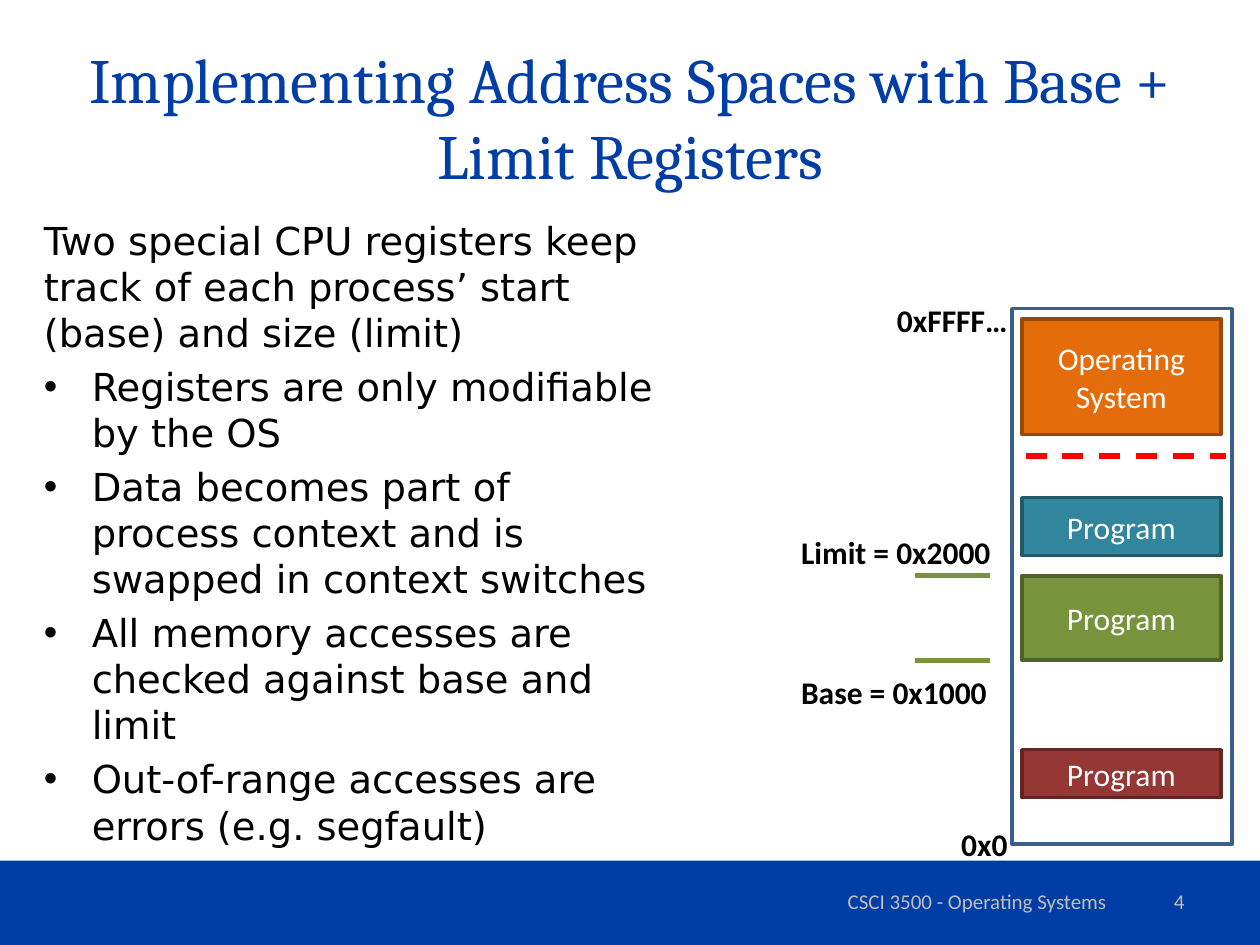
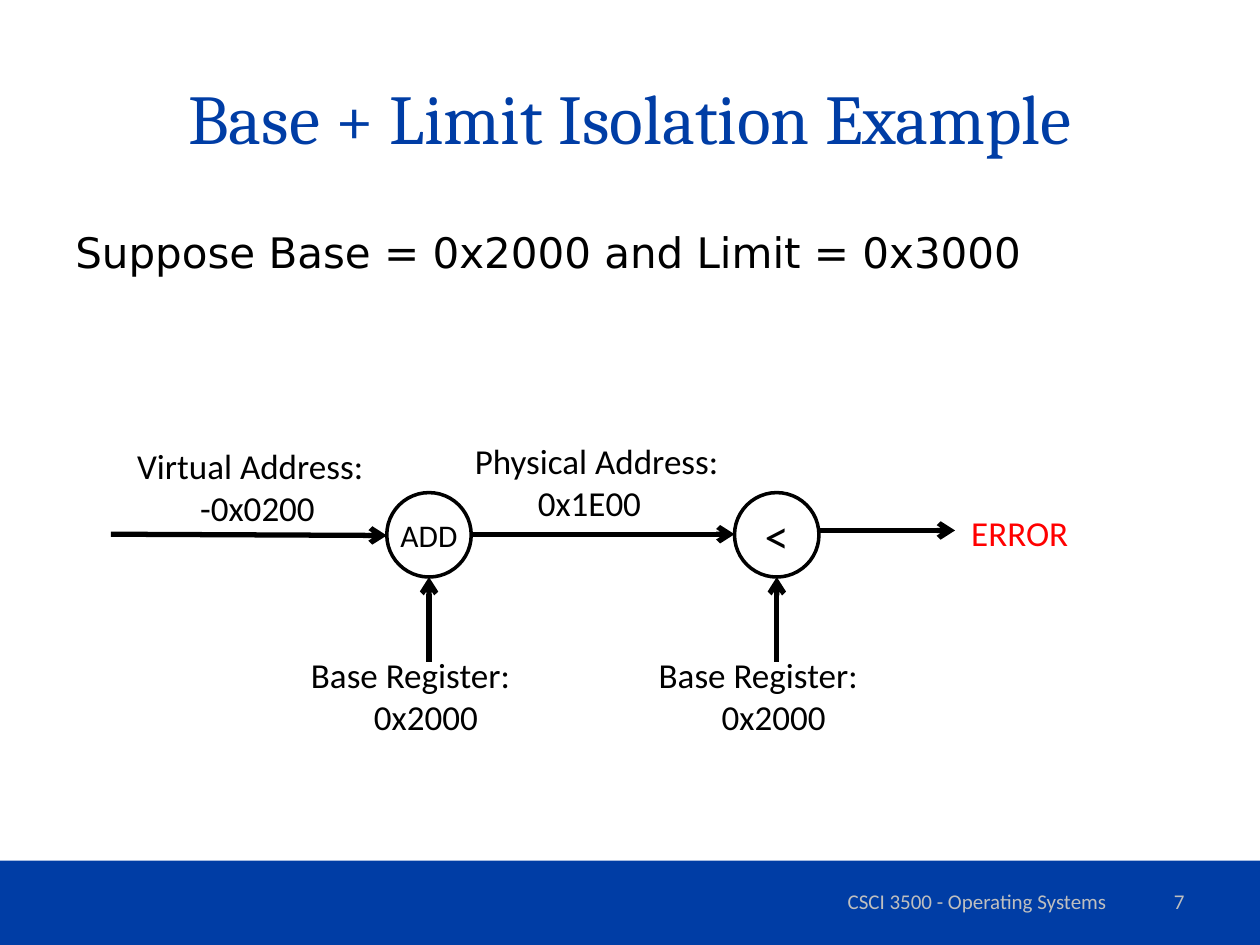
"""Builds two slides on base and limit registers."""
from dataclasses import dataclass

from lxml.etree import SubElement
from pptx import Presentation
from pptx.dml.color import RGBColor
from pptx.enum.dml import MSO_LINE
from pptx.enum.shapes import MSO_CONNECTOR, MSO_SHAPE
from pptx.enum.text import MSO_ANCHOR, MSO_AUTO_SIZE, PP_ALIGN
from pptx.oxml.ns import qn
from pptx.util import Inches, Pt


@dataclass(frozen=True)
class Theme:
    """Colours, fonts and type sizes of the deck."""
    blue: str = "003DA5"
    black: str = "000000"
    white: str = "FFFFFF"
    grey: str = "BFBFBF"
    red: str = "FF0000"
    green: str = "77933C"
    frame: str = "3A5F8C"
    title_font: str = "Cambria"
    body_font: str = "DejaVu Sans"
    label_font: str = "Calibri"
    footer_size: int = 12
    memory_size: int = 18
    diagram_size: int = 20
    symbol_size: int = 28
    outline: int = 2
    stroke: int = 3


THEME = Theme()


def write(frame, text, *, size=THEME.memory_size, color=THEME.black, font=THEME.label_font,
          bold=False, align=PP_ALIGN.LEFT, anchor=MSO_ANCHOR.TOP, wrap=True,
          space_before=0, bullets_from=None):
    """Fill a text frame with one paragraph per line of text."""
    frame.word_wrap = wrap
    frame.vertical_anchor = anchor
    for index, line in enumerate(text.split("\n")):
        paragraph = frame.paragraphs[0] if index == 0 else frame.add_paragraph()
        paragraph.add_run().text = line
        paragraph.alignment = align
        if index:
            paragraph.space_before = Pt(space_before)
        if bullets_from is not None and index >= bullets_from:
            add_bullet(paragraph)
        for span in paragraph.runs:
            span.font.size = Pt(size)
            span.font.name = font
            span.font.bold = bold
            span.font.color.rgb = RGBColor.from_string(color)


def add_bullet(paragraph, indent=0.38):
    """Give a paragraph a round bullet and a hanging indent."""
    properties = paragraph._p.get_or_add_pPr()
    properties.set("marL", str(Inches(indent)))
    properties.set("indent", str(-Inches(indent)))
    SubElement(properties, qn("a:buFont"), typeface="Arial")
    SubElement(properties, qn("a:buChar"), char="•")


def add_text(page, text, left, top, width, height, **style):
    """Add a wrapping text box."""
    box = page.shapes.add_textbox(Inches(left), Inches(top), Inches(width), Inches(height))
    write(box.text_frame, text, **style)
    return box


def add_label(page, text, left, top, width, height=0.4, **style):
    """Add a label that grows with its text."""
    box = add_text(page, text, left, top, width, height, wrap=False, **style)
    box.text_frame.auto_size = MSO_AUTO_SIZE.SHAPE_TO_FIT_TEXT


def add_box(page, left, top, width, height, *, fill=None, line=None, kind=MSO_SHAPE.RECTANGLE):
    """Add a flat preset shape with an optional fill and outline."""
    box = page.shapes.add_shape(kind, Inches(left), Inches(top), Inches(width), Inches(height))
    box.shadow.inherit = False
    if fill:
        box.fill.solid()
        box.fill.fore_color.rgb = RGBColor.from_string(fill)
    else:
        box.fill.background()
    if line:
        box.line.color.rgb = RGBColor.from_string(line)
        box.line.width = Pt(THEME.outline)
    else:
        box.line.fill.background()
    return box


def add_line(page, start, end, *, color=THEME.black, dashed=False, arrow=False):
    """Add a straight line, dashed or with an arrowhead if asked."""
    x1, y1, x2, y2 = (Inches(value) for value in (*start, *end))
    connector = page.shapes.add_connector(MSO_CONNECTOR.STRAIGHT, x1, y1, x2, y2)
    connector.line.color.rgb = RGBColor.from_string(color)
    connector.line.width = Pt(THEME.stroke)
    if dashed:
        connector.line.dash_style = MSO_LINE.DASH
    if arrow:
        SubElement(connector.line._get_or_add_ln(), qn("a:tailEnd"), type="arrow")
    SubElement(connector._element.spPr, qn("a:effectLst"))


def add_memory_block(page, text, top, height, fill, line):
    """Add one occupied region of the memory column."""
    block = add_box(page, 8.11, top, 1.58, height, fill=fill, line=line)
    write(block.text_frame, text, color=THEME.white, align=PP_ALIGN.CENTER,
          anchor=MSO_ANCHOR.MIDDLE)


def add_operator(page, text, left, size):
    """Add an operator circle with the register that feeds it from below."""
    top, diameter = 3.91, 0.67
    center = left + diameter / 2
    circle = add_box(page, left, top, diameter, diameter, line=THEME.black, kind=MSO_SHAPE.OVAL)
    frame = circle.text_frame
    frame.margin_left = frame.margin_right = frame.margin_top = frame.margin_bottom = 0
    write(frame, text, size=size, align=PP_ALIGN.CENTER, anchor=MSO_ANCHOR.MIDDLE, wrap=False)
    add_line(page, (center, 5.25), (center, top + diameter), arrow=True)
    add_label(page, "Base Register:\n\t0x2000", left - 0.7, 5.14, 2.04, 0.77,
              size=THEME.diagram_size)


def add_page(deck, title, title_size, number):
    """Add a page with the shared title, bottom band and footer."""
    page = deck.slides.add_slide(deck.slide_layouts[6])
    add_box(page, 0, 6.83, 10, 0.67, fill=THEME.blue)
    add_text(page, title, 0.5, 0.3, 9, 1.25, size=title_size, color=THEME.blue,
             font=THEME.title_font, align=PP_ALIGN.CENTER, anchor=MSO_ANCHOR.MIDDLE)
    footer = dict(size=THEME.footer_size, color=THEME.grey, anchor=MSO_ANCHOR.MIDDLE)
    add_text(page, "CSCI 3500 - Operating Systems", 6.17, 6.95, 3.17, 0.4,
             align=PP_ALIGN.CENTER, **footer)
    add_text(page, str(number), 7.17, 6.95, 2.33, 0.4, align=PP_ALIGN.RIGHT, **footer)
    return page


def build_registers_page(deck):
    """Build the page that explains the two registers."""
    page = add_page(deck, "Implementing Address Spaces with Base + Limit Registers", 36, 4)
    points = (
        "Two special CPU registers keep track of each process’ start (base) and size (limit)",
        "Registers are only modifiable by the OS",
        "Data becomes part of process context and is swapped in context switches",
        "All memory accesses are checked against base and limit",
        "Out-of-range accesses are errors (e.g. segfault)",
    )
    add_text(page, "\n".join(points), 0.25, 1.67, 5.09, 5.23, size=22, font=THEME.body_font,
             space_before=4.4, bullets_from=1)

    add_box(page, 8.03, 2.45, 1.75, 4.25, line=THEME.frame)
    for block in (
        ("Operating System", 2.53, 0.92, "E46C0A", "984807"),
        ("Program", 3.95, 0.46, "31859C", "215968"),
        ("Program", 4.57, 0.67, THEME.green, "4F6228"),
        ("Program", 5.95, 0.38, "953735", "632523"),
    ):
        add_memory_block(page, *block)
    add_line(page, (8.14, 3.62), (9.73, 3.62), color=THEME.red, dashed=True)
    for bound in (4.57, 5.24):
        add_line(page, (7.26, bound), (7.86, bound), color=THEME.green)
    for text, left, top, width in (
        ("0xFFFF…", 7.02, 2.34, 1.09),
        ("Limit = 0x2000", 6.26, 4.18, 1.72),
        ("Base = 0x1000", 6.26, 5.29, 1.69),
        ("0x0", 7.53, 6.5, 0.57),
    ):
        add_label(page, text, left, top, width, bold=True)


def build_example_page(deck):
    """Build the page that follows one address through the check."""
    page = add_page(deck, "Base + Limit Isolation Example", 40, 7)
    add_text(page, "Suppose Base = 0x2000 and Limit = 0x3000", 0.5, 1.75, 9, 4.95,
             size=24, font=THEME.body_font)
    add_operator(page, "ADD", 3.07, THEME.memory_size)
    add_operator(page, "<", 5.83, THEME.symbol_size)
    for start, end in (
        ((0.88, 4.24), (3.07, 4.25)),
        ((3.74, 4.24), (5.83, 4.24)),
        ((6.5, 4.21), (7.58, 4.21)),
    ):
        add_line(page, start, end, arrow=True)
    for text, left, top, width, height, color in (
        ("Virtual Address:\n\t-0x0200", 0.99, 3.48, 2.13, 0.77, THEME.black),
        ("Physical Address:\n\t0x1E00", 3.67, 3.44, 2.16, 0.77, THEME.black),
        ("ERROR", 7.61, 4.01, 0.98, 0.44, THEME.red),
    ):
        add_label(page, text, left, top, width, height, size=THEME.diagram_size, color=color)


def main():
    """Build and save the deck."""
    deck = Presentation()
    deck.slide_width, deck.slide_height = Inches(10), Inches(7.5)
    build_registers_page(deck)
    build_example_page(deck)
    deck.save("out.pptx")


if __name__ == "__main__":
    main()
